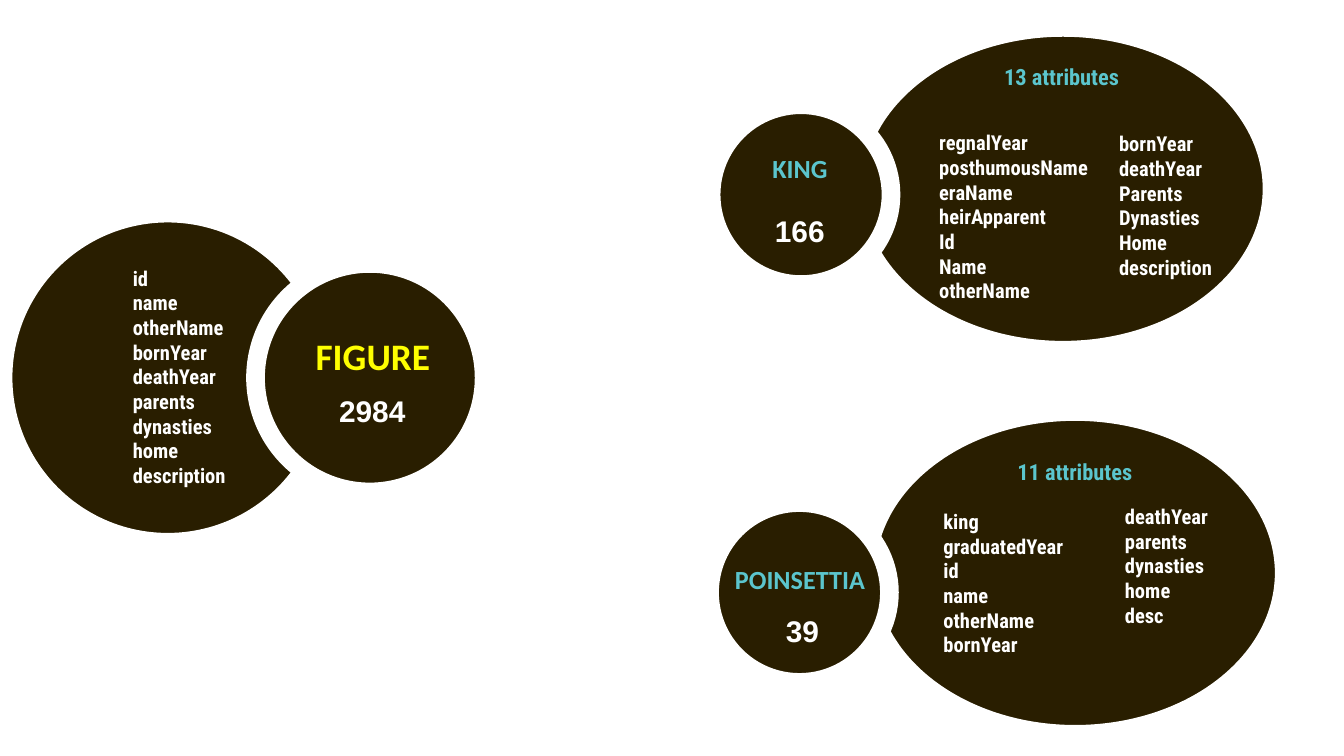
from pptx import Presentation
from pptx.dml.color import RGBColor
from pptx.enum.shapes import MSO_SHAPE
from pptx.enum.text import MSO_ANCHOR, MSO_AUTO_SIZE, PP_ALIGN
from pptx.util import Cm, Pt

OVAL = MSO_SHAPE.OVAL
LEFT, CENTER = PP_ALIGN.LEFT, PP_ALIGN.CENTER
TOP, BOTTOM = MSO_ANCHOR.TOP, MSO_ANCHOR.BOTTOM
GROW, FIXED = MSO_AUTO_SIZE.SHAPE_TO_FIT_TEXT, MSO_AUTO_SIZE.NONE

DARK = RGBColor(0x29, 0x1E, 0x00)
WHITE = RGBColor(0xFF, 0xFF, 0xFF)
TEAL = RGBColor(0x5B, 0xC5, 0xCD)
YELLOW = RGBColor(0xFF, 0xFF, 0x00)

LIST = {"name": "Roboto Condensed", "size": Pt(11), "bold": True}
HEAD = {"name": "Roboto Condensed", "size": Pt(12), "bold": True}
COUNT = {"name": "Arial", "size": Pt(16), "bold": True}
NAME = {"name": "Calibri", "size": Pt(14), "bold": True}
TITLE = {**NAME, "size": Pt(20)}

INSETS = ("margin_left", "margin_top", "margin_right", "margin_bottom")


def place(origin, part):
    """Turn a part's box, relative to its origin in cm, into slide lengths."""
    x, y, w, h = part
    return Cm(origin[0] + x), Cm(origin[1] + y), Cm(w), Cm(h)


def add_disc(slide, origin, part, rim):
    disc = slide.shapes.add_shape(OVAL, *place(origin, part))
    disc.shadow.inherit = False
    disc.fill.solid()
    disc.fill.fore_color.rgb = DARK
    disc.line.color.rgb = WHITE
    disc.line.width = Pt(rim)


def add_text(slide, origin, part, lines, style, color=WHITE,
             align=CENTER, label=False):
    """A label sits on the bottom of its box, with no insets."""
    frame = slide.shapes.add_textbox(*place(origin, part)).text_frame
    frame.word_wrap = True
    frame.auto_size = FIXED if label else GROW
    frame.vertical_anchor = BOTTOM if label else TOP
    if label:
        for inset in INSETS:
            setattr(frame, inset, 0)
    for i, line in enumerate(lines):
        para = frame.add_paragraph() if i else frame.paragraphs[0]
        para.alignment = align
        run = para.add_run()
        run.text = line
        for key, value in style.items():
            setattr(run.font, key, value)
        run.font.color.rgb = color


def add_class(slide, origin, outer, inner, name, count, lists,
              head=None, style=NAME, color=TEAL):
    """Draw a class badge over the bubble that holds its attributes."""
    add_disc(slide, origin, outer, 2)
    add_disc(slide, origin, inner, 10)
    text, x, y = name
    add_text(slide, origin, (x, y, 4.34, 1.12), [text], style, color,
             label=True)
    text, x, y = count
    add_text(slide, origin, (x, y, 3.91, 0.94), [text], COUNT)
    for words, x, y, width in lists:
        lines = words.split()
        part = (x, y, width, 0.25 + 0.47 * len(lines))
        add_text(slide, origin, part, lines, LIST, align=LEFT)
    if head:
        text, x, y = head
        add_text(slide, origin, (x, y, 3.91, 0.76), [text], HEAD, TEAL)


def main():
    deck = Presentation()
    deck.slide_width, deck.slide_height = Cm(25.4), Cm(14.29)
    slide = deck.slides.add_slide(deck.slide_layouts[6])

    add_class(
        slide, (0.2, 4.17), (0, 0, 5.94, 5.94), (4.63, 0.81, 4.32, 4.32),
        ("FIGURE", 4.68, 1.85), ("2984", 4.88, 3.12),
        [("id name otherName bornYear deathYear parents dynasties home "
          "description", 2.06, 0.73, 2.46)],
        style=TITLE, color=YELLOW)
    add_class(
        slide, (13.44, 0.66), (2.84, 0, 7.62, 5.82), (0, 1.32, 3.4, 3.4),
        ("KING", -0.49, 1.7), ("166", -0.28, 3.23),
        [("regnalYear posthumousName eraName heirApparent Id Name otherName",
          4.06, 1.68, 3.4),
         ("bornYear deathYear Parents Dynasties Home description",
          7.46, 1.7, 3.58)],
        head=("13 attributes", 4.67, 0.41))
    add_class(
        slide, (13.41, 7.92), (3.1, 0, 7.62, 5.82), (0, 1.58, 3.4, 3.4),
        ("POINSETTIA", -0.46, 2.21), ("39", -0.2, 3.54),
        [("king graduatedYear id name otherName bornYear", 4.17, 1.58, 2.77),
         ("deathYear parents dynasties home desc", 7.6, 1.48, 2.77)],
        head=("11 attributes", 4.95, 0.61))

    deck.save("out.pptx")


if __name__ == "__main__":
    main()
